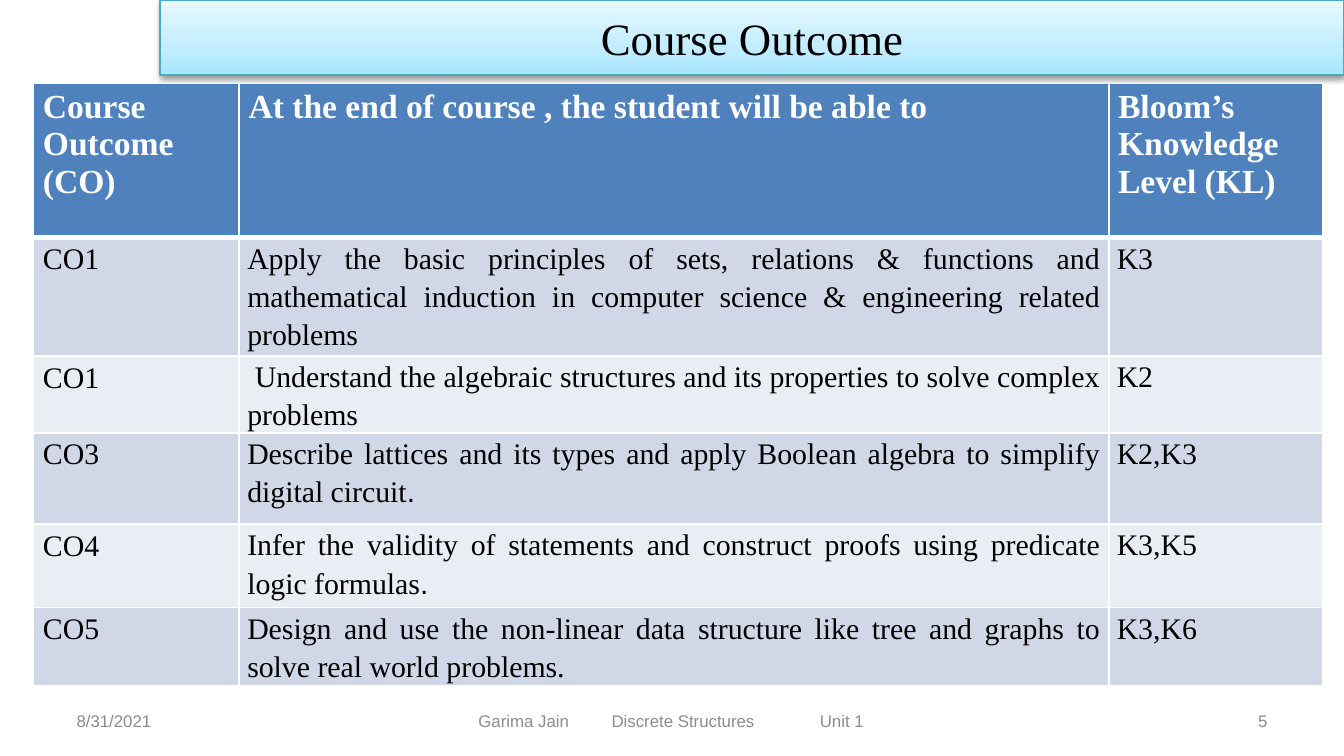
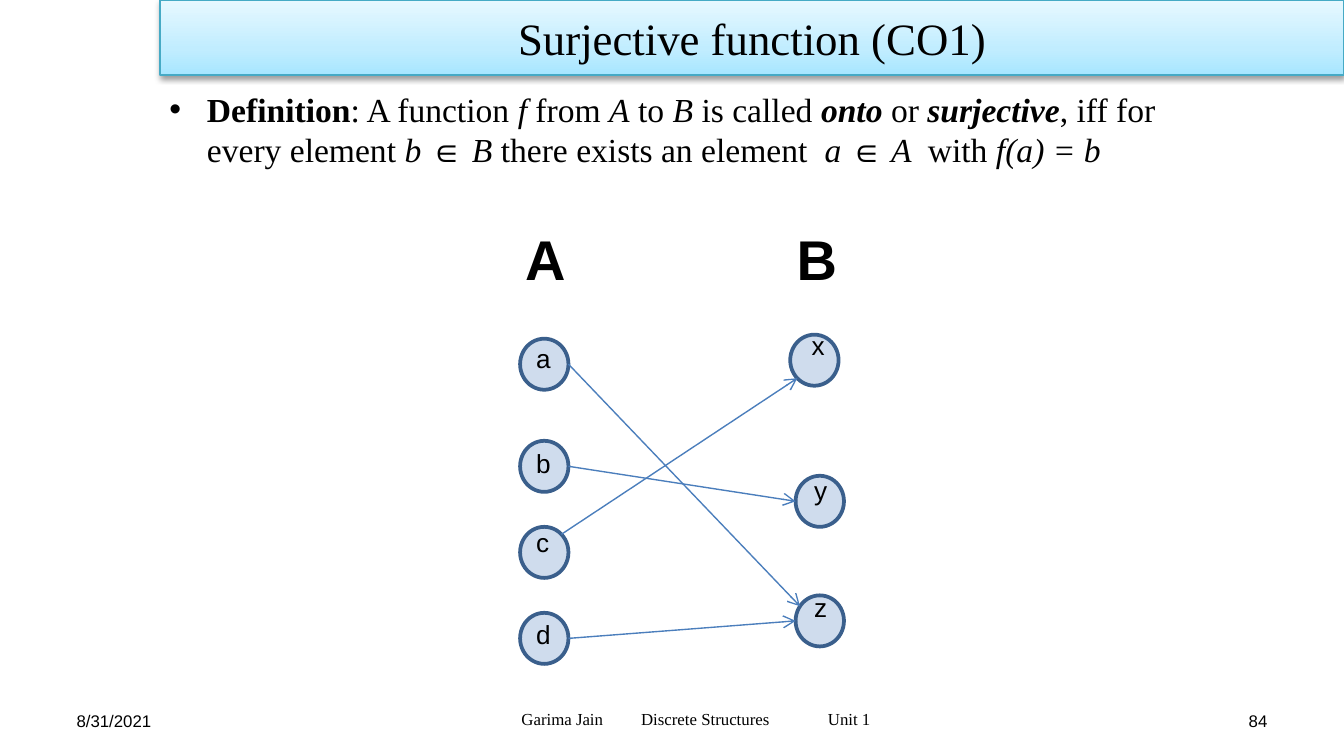
from math import cos, radians, sin

from lxml import etree
from pptx import Presentation
from pptx.dml.color import RGBColor
from pptx.enum.shapes import MSO_CONNECTOR, MSO_SHAPE
from pptx.enum.text import MSO_ANCHOR, MSO_AUTO_SIZE, PP_ALIGN
from pptx.oxml import parse_xml
from pptx.oxml.ns import qn
from pptx.util import Pt

PX = 9144  # 100 px to the inch
NS = 'xmlns:a="http://schemas.openxmlformats.org/drawingml/2006/main"'
SERIF, SANS = "Times New Roman", "Arial"
LEFT, CENTER, RIGHT, JUSTIFY = PP_ALIGN.LEFT, PP_ALIGN.CENTER, PP_ALIGN.RIGHT, PP_ALIGN.JUSTIFY
TOP, MIDDLE = MSO_ANCHOR.TOP, MSO_ANCHOR.MIDDLE
FIT_SHAPE = MSO_AUTO_SIZE.SHAPE_TO_FIT_TEXT
RECT, CIRCLE = MSO_SHAPE.RECTANGLE, MSO_SHAPE.FLOWCHART_CONNECTOR
STRAIGHT = MSO_CONNECTOR.STRAIGHT
INSETS, WIDE_INSETS, TIGHT_INSETS = (7, 4), (10, 5), (6, 0)
NODE_W, NODE_H = 36, 38

COLORS = {
    "text": "000000", "muted": "8C8C8C", "white": "FFFFFF",
    "header": "4F81BD", "odd": "D0D8E8", "even": "E9EDF4",
    "banner_line": "46AAC5", "node": "4F81BD", "node_line": "3A5F8C",
    "arrow": "4B7EBC",
}
BANNER_STOPS = [(0, "A7E6FF"), (35, "C1EDFF"), (100, "E7F8FF")]


def px(n):
    return round(n * PX)


def rgb(name):
    return RGBColor.from_string(COLORS[name])


def xml(tag, inner="", attrs=""):
    return parse_xml(f"<a:{tag} {NS} {attrs}>{inner}</a:{tag}>")


class Deck:
    def __init__(self, width):
        """Start a 16:9 presentation of the given width."""
        self.prs = Presentation()
        self.prs.slide_width, self.prs.slide_height = px(width), px(width * 9 / 16)
        self.s = None

    def new_slide(self):
        self.s = self.prs.slides.add_slide(self.prs.slide_layouts[6])

    def run(self, p, text, size, font=SERIF, color="text", style=""):
        """Add one run; style holds "b" for bold and "i" for italic."""
        r = p.add_run()
        r.text = text
        r.font.name, r.font.size = font, Pt(size)
        r.font.bold, r.font.italic = "b" in style, "i" in style
        r.font.color.rgb = rgb(color)

    def frame(self, tf, insets=INSETS, anchor=TOP, align=LEFT):
        """Prepare a text frame and give back its first paragraph."""
        tf.word_wrap = True
        tf.vertical_anchor = anchor
        tf.margin_left = tf.margin_right = px(insets[0])
        tf.margin_top = tf.margin_bottom = px(insets[1])
        p = tf.paragraphs[0]
        p.alignment = align
        return p

    def text(self, x, y, w, h, text, size, font=SANS, color="text", align=LEFT):
        tf = self.s.shapes.add_textbox(px(x), px(y), px(w), px(h)).text_frame
        p = self.frame(tf, anchor=MIDDLE, align=align)
        self.run(p, text, size, font, color)
        return tf

    def label(self, x, y, w, h, text, size, style=""):
        tf = self.s.shapes.add_textbox(px(x), px(y), px(w), px(h)).text_frame
        p = self.frame(tf, WIDE_INSETS)
        tf.auto_size = FIT_SHAPE
        self.run(p, text, size, SANS, style=style)

    def banner(self, title):
        sp = self.s.shapes.add_shape(RECT, px(119), 0, px(881), px(56))
        sp.line.color.rgb, sp.line.width = rgb("banner_line"), Pt(0.75)
        stops = "".join(f'<a:gs pos="{pos * 1000}"><a:srgbClr val="{c}"/></a:gs>'
                        for pos, c in BANNER_STOPS)
        gradient = xml("gradFill", f'<a:gsLst>{stops}</a:gsLst><a:lin ang="16200000" scaled="0"/>',
                       'rotWithShape="1"')
        sp.line._get_or_add_ln().addprevious(gradient)
        sp.shadow.inherit = False
        sp._element.spPr.find(qn("a:effectLst")).append(xml(
            "outerShdw", '<a:srgbClr val="000000"><a:alpha val="38000"/></a:srgbClr>',
            'blurRad="40000" dist="20000" dir="5400000" rotWithShape="0"'))
        self.run(self.frame(sp.text_frame, anchor=MIDDLE, align=CENTER), title, 24)

    def footer(self, number, color, x, y, w, font, inset, tabs):
        """Date, course line and page number; tabs place the course line's later parts."""
        self.text(50, 521, 233, 30, "8/31/2021", 9, color=color)
        self.text(717, 521, 233, 30, str(number), 9, color=color, align=RIGHT)
        tf = self.text(x, y, w, 30, "Garima Jain\tDiscrete Structures\tUnit 1", 9, font, color)
        tf.margin_left = px(inset)
        tf.paragraphs[0]._p.get_or_add_pPr().append(
            xml("tabLst", "".join(f'<a:tab pos="{px(t)}" algn="l"/>' for t in tabs)))

    def bullet(self, x, y, w, h, runs, size):
        tf = self.s.shapes.add_textbox(px(x), px(y), px(w), px(h)).text_frame
        p = self.frame(tf)
        pPr = p._p.get_or_add_pPr()
        pPr.set("marL", str(px(28)))
        pPr.set("indent", str(px(-28)))
        pPr.append(xml("spcBef", '<a:spcPct val="20000"/>'))
        pPr.append(xml("buFont", attrs='typeface="Arial"'))
        pPr.append(xml("buChar", attrs='char="•"'))
        for text, style in runs:
            self.run(p, text, size, style=style)

    def cell(self, cell, runs, fill, size, color="text", style="", prose=False, bottom=1):
        insets = TIGHT_INSETS if prose else INSETS
        p = self.frame(cell.text_frame, insets, align=JUSTIFY if prose else LEFT)
        cell.margin_left = cell.margin_right = px(insets[0])
        cell.margin_top = cell.margin_bottom = px(insets[1])
        if prose:
            p.line_spacing = 1.15
        for text, font in runs:
            self.run(p, text, size, font, color, style)
        tcPr = cell._tc.get_or_add_tcPr()
        for side, width in zip("LRTB", (1, 1, 1, bottom)):
            tcPr.append(xml(f"ln{side}",
                            f'<a:solidFill><a:srgbClr val="{COLORS["white"]}"/></a:solidFill>',
                            f'w="{Pt(width)}"'))
        cell.fill.solid()
        cell.fill.fore_color.rgb = rgb(fill)

    def table(self, x, y, widths, heights, header, rows):
        table = self.s.shapes.add_table(len(heights), len(widths), px(x), px(y),
                                        px(sum(widths)), px(sum(heights))).table
        for col, w in zip(table.columns, widths):
            col.width = px(w)
        for row, h in zip(table.rows, heights):
            row.height = px(h)
        for c, text in enumerate(header):
            self.cell(table.cell(0, c), [(text, SERIF)], "header", 18, "white", "b", bottom=3)
        for r, row in enumerate(rows, 1):
            for c, value in enumerate(row):
                runs = [(value, SERIF)] if isinstance(value, str) else value
                self.cell(table.cell(r, c), runs, "odd" if r % 2 else "even", 16, prose=c > 0)

    def node(self, x, y):
        sp = self.s.shapes.add_shape(CIRCLE, px(x), px(y), px(NODE_W), px(NODE_H))
        sp.shadow.inherit = False
        sp.fill.solid()
        sp.fill.fore_color.rgb = rgb("node")
        clr = sp._element.spPr.find(qn("a:solidFill"))[0]
        etree.SubElement(clr, qn("a:alpha")).set("val", "27000")
        sp.line.color.rgb, sp.line.width = rgb("node_line"), Pt(2)

    def arrow(self, start, end):
        cx = self.s.shapes.add_connector(STRAIGHT, *map(px, start + end))
        cx.line.color.rgb, cx.line.width = rgb("arrow"), Pt(0.75)
        cx.line._get_or_add_ln().append(xml("tailEnd", attrs='type="arrow"'))
        cx._element.spPr.append(xml("effectLst"))


def rim(corner, degrees):
    """Point on a node's edge, clockwise from its right side."""
    x, y = corner
    a = radians(degrees)
    return x + NODE_W / 2 * (1 + cos(a)), y + NODE_H / 2 * (1 + sin(a))


def course_outcome(deck):
    deck.new_slide()
    deck.table(
        25, 62, (153, 647, 159), (115, 88, 57, 68, 62, 58),
        ("Course Outcome (CO)", "At the end of course , the student will be able to",
         "Bloom’s Knowledge Level (KL)"),
        [("CO1", "Apply the basic principles of sets, relations & functions and mathematical "
                 "induction in computer science & engineering related problems", "K3"),
         ("CO1", " Understand the algebraic structures and its properties to solve complex "
                 "problems", "K2"),
         ("CO3", [("Describe lattices and its types and apply Boolean algebra to simplify "
                   "digital circuit", SERIF), (". ", SANS)], "K2,K3"),
         ("CO4", [("Infer the validity of statements and construct proofs using predicate "
                   "logic formulas", SERIF), (".", SANS)], "K3,K5"),
         ("CO5", "Design and use the non-linear data structure like tree and graphs to solve "
                 "real world problems.", "K3,K6")])
    deck.banner("Course Outcome")
    deck.footer(5, "muted", 342, 521, 317, SANS, 14, (99, 254))


def surjective_function(deck):
    deck.new_slide()
    deck.banner("Surjective function (CO1)")
    deck.footer(84, "text", 312, 520, 412, SERIF, 76, (89, 228))
    deck.bullet(119, 62, 788, 431, [
        ("Definition", "b"), (": A function ", ""), ("f", "i"), (" from ", ""), ("A", "i"),
        (" to ", ""), ("B", "i"), (" is called ", ""), ("onto", "bi"), (" or ", ""),
        ("surjective", "bi"), (", iff for every element ", ""), ("b ", "i"), ("∈", ""),
        (" B", "i"), (" there exists an element  ", ""), ("a ", "i"), ("∈", ""),
        (" A ", "i"), (" with ", ""), ("f(a) = b", "i")], 18)

    nodes = {"a": (387, 252), "b": (387, 328), "c": (387, 392), "d": (387, 456),
             "x": (588, 249), "y": (592, 354), "z": (592, 443)}
    labels = {"a": (389, 250), "b": (389, 328), "c": (389, 387), "d": (389, 455),
              "x": (594, 240), "y": (596, 348), "z": (596, 435)}
    for corner in nodes.values():
        deck.node(*corner)
    for x, name in ((381, "A"), (583, "B")):
        deck.label(x, 162, 54, 61, name, 30, "b")
    for name, (x, y) in labels.items():
        deck.label(x, y, 24, 34, name, 14)
    for source, out, target, into in (("b", 0, "y", 180), ("a", 0, "z", 215),
                                      ("c", -45, "x", 135), ("d", 0, "z", 180)):
        deck.arrow(rim(nodes[source], out), rim(nodes[target], into))


def main():
    deck = Deck(1000)
    course_outcome(deck)
    surjective_function(deck)
    deck.prs.save("out.pptx")


if __name__ == "__main__":
    main()
